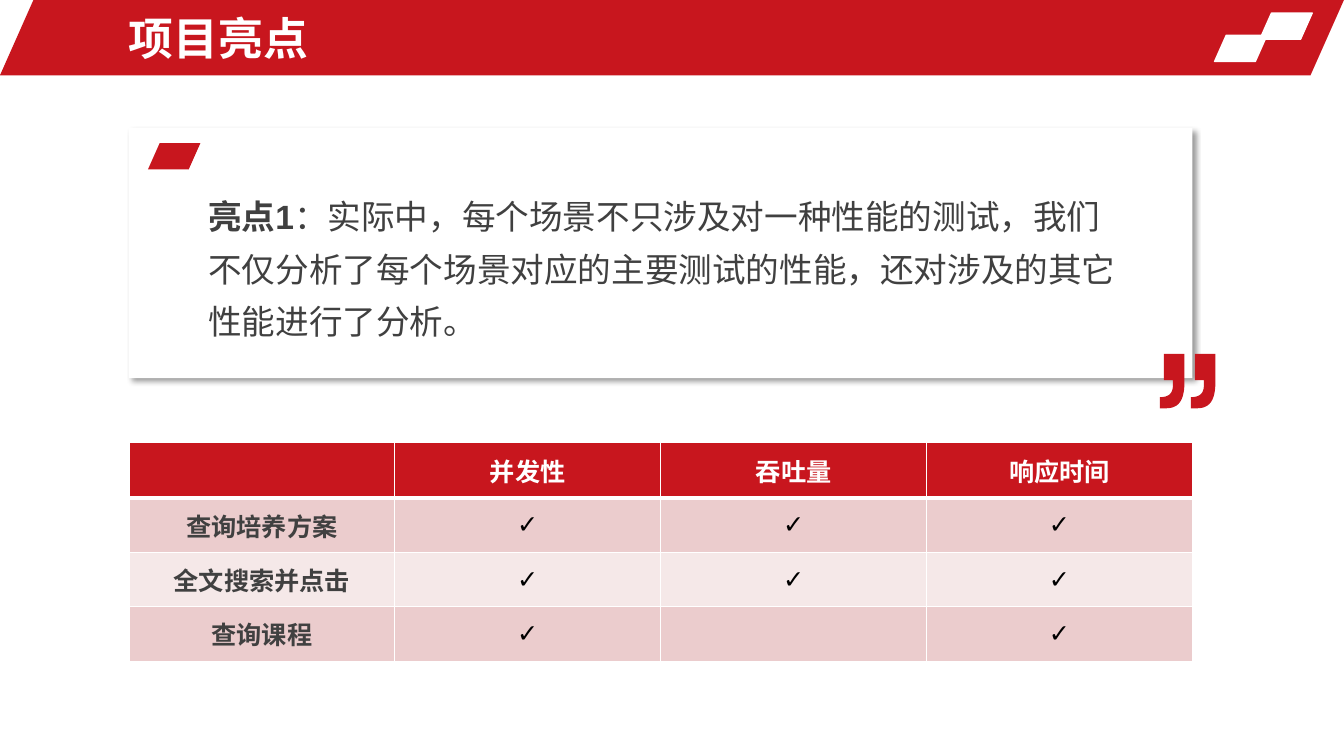
from lxml.etree import SubElement
from pptx import Presentation
from pptx.dml.color import RGBColor
from pptx.enum.lang import MSO_LANGUAGE_ID
from pptx.enum.shapes import MSO_SHAPE
from pptx.enum.text import MSO_ANCHOR, PP_ALIGN
from pptx.oxml import parse_xml
from pptx.oxml.ns import nsdecls, qn
from pptx.util import Cm, Pt

# Content
TITLE = "项目亮点"
POINT = [
    ("亮点1", True),
    ("：实际中，每个场景不只涉及对一种性能的测试，我们不仅分析了每个场景对应的"
     "主要测试的性能，还对涉及的其它性能进行了分析。", False),
]
ROWS = [
    ("", "并发性", "吞吐量", "响应时间"),
    ("查询培养方案", "✓", "✓", "✓"),
    ("全文搜索并点击", "✓", "✓", "✓"),
    ("查询课程", "✓", "", "✓"),
]
COLORS = {"red": "C8161E", "white": "FFFFFF", "gray": "404040",
          "black": "000000", "dark": "EBCCCD", "pale": "F5E8E8"}
FONT = "Arial"

# Layout in cm
WIDTH, HEIGHT = 33.87, 19.05
LEFT, SPAN = 3.25, 26.8
CHIP = (1.32, 0.66)
SLANT = 0.444
# Closing quote: a pair is a corner, a triple of pairs is a curve
MARK = [
    (0.62, 0), (0.62, 0.71),
    ((0.62, 1.17), (0.48, 1.37), (0.15, 1.37)),
    (0, 1.37), (0, 1.09),
    ((0.23, 1.09), (0.33, 0.99), (0.33, 0.79)),
    (0.33, 0.66), (0.1, 0.66), (0.1, 0),
]
MARKS_X, MARKS_Y, PITCH = 29.23, 8.92, 0.78

deck = Presentation()
deck.slide_width, deck.slide_height = Cm(WIDTH), Cm(HEIGHT)
slide = deck.slides.add_slide(deck.slide_layouts[6])
shapes = slide.shapes


def rgb(name):
    return RGBColor.from_string(COLORS[name])


def paint(shape, fill, line=None):
    shape.shadow.inherit = False
    shape.fill.solid()
    shape.fill.fore_color.rgb = rgb(fill)
    if line:
        shape.line.color.rgb = rgb(line)
        shape.line.width = Pt(1)
    else:
        shape.line.fill.background()


def block(kind, box, adj, fill, line=None):
    shape = shapes.add_shape(kind, *map(Cm, box))
    shape.adjustments[0] = adj
    paint(shape, fill, line)
    return shape


def write(para, text, size, color, bold):
    run = para.add_run()
    run.text = text
    font = run.font
    font.name, font.size, font.bold = FONT, Pt(size), bold
    font.color.rgb = rgb(color)
    font.language_id = MSO_LANGUAGE_ID.SIMPLIFIED_CHINESE


def text_box(box, anchor):
    frame = shapes.add_textbox(*map(Cm, box)).text_frame
    frame.word_wrap = True
    frame.vertical_anchor = anchor
    return frame.paragraphs[0]


def trace(nodes, left, top):
    dots = []
    for node in nodes:
        if isinstance(node[0], tuple):
            curve = (dots[-1],) + node
            for step in range(1, 13):
                t = step / 12
                parts = ((1 - t) ** 3, 3 * t * (1 - t) ** 2,
                         3 * t * t * (1 - t), t ** 3)
                dots.append(tuple(sum(p * c[i] for p, c in zip(parts, curve))
                                  for i in (0, 1)))
        else:
            dots.append(node)
    return [(Cm(left + x), Cm(top + y)) for x, y in dots]


def border(cell, widths):
    props = cell._tc.get_or_add_tcPr()
    for spot, (side, width) in enumerate(widths.items()):
        line = parse_xml(f'<a:ln{side} {nsdecls("a")} w="{Pt(width)}"><a:solidFill>'
                         f'<a:srgbClr val="{COLORS["white"]}"/></a:solidFill></a:ln{side}>')
        props.insert(spot, line)


# Title bar
SLOPE = MSO_SHAPE.PARALLELOGRAM
block(SLOPE, (0, 0, WIDTH, 1.9), SLANT, "red")
for x, y in ((31.75, 0.33), (30.61, 0.89)):
    block(SLOPE, (x, y, *CHIP), SLANT, "white", "white")
write(text_box((3, 0.13, 19.66, 1.65), MSO_ANCHOR.MIDDLE), TITLE, 32, "white", True)

# Card with shadow
card = block(MSO_SHAPE.ROUNDED_RECTANGLE, (LEFT, 3.23, SPAN, 6.3), 0, "white")
effects = card._element.spPr.find(qn("a:effectLst"))
shade = SubElement(effects, qn("a:outerShdw"), blurRad=str(Pt(4)), dist=str(Pt(3)),
                   dir=str(45 * 60000), algn="tl", rotWithShape="0")
tone = SubElement(shade, qn("a:srgbClr"), val=COLORS["black"])
SubElement(tone, qn("a:alpha"), val="40000")
block(SLOPE, (3.73, 3.61, *CHIP), SLANT, "red")
para = text_box((5, 4.52, 23.47, 4.11), MSO_ANCHOR.TOP)
para.line_spacing = 1.3
for text, bold in POINT:
    write(para, text, 24, "gray", bold)

# Closing quote marks
first, second = (trace(MARK, MARKS_X + i * PITCH, MARKS_Y) for i in (0, 1))
pen = shapes.build_freeform(*first[0])
pen.add_line_segments(first[1:], close=True)
pen.move_to(*second[0])
pen.add_line_segments(second[1:], close=True)
paint(pen.convert_to_shape(), "red")

# Coverage table
tall = [1.4] + [1.37] * (len(ROWS) - 1)
grid = shapes.add_table(len(ROWS), len(ROWS[0]), Cm(LEFT), Cm(11.15),
                        Cm(SPAN), Cm(sum(tall))).table
for col in grid.columns:
    col.width = Cm(SPAN / len(ROWS[0]))
for r, row in enumerate(ROWS):
    grid.rows[r].height = Cm(tall[r])
    for c, text in enumerate(row):
        cell = grid.cell(r, c)
        cell.vertical_anchor = MSO_ANCHOR.MIDDLE
        cell.fill.solid()
        cell.fill.fore_color.rgb = rgb("red" if r == 0 else "dark" if r % 2 else "pale")
        border(cell, {"L": 1, "R": 1, "T": 3 if r == 1 else 1, "B": 1 if r else 3})
        para = cell.text_frame.paragraphs[0]
        para.alignment = PP_ALIGN.CENTER
        if text:
            color = "white" if r == 0 else "black" if c else "gray"
            write(para, text, 18, color, r == 0 or c == 0)

deck.save("out.pptx")
